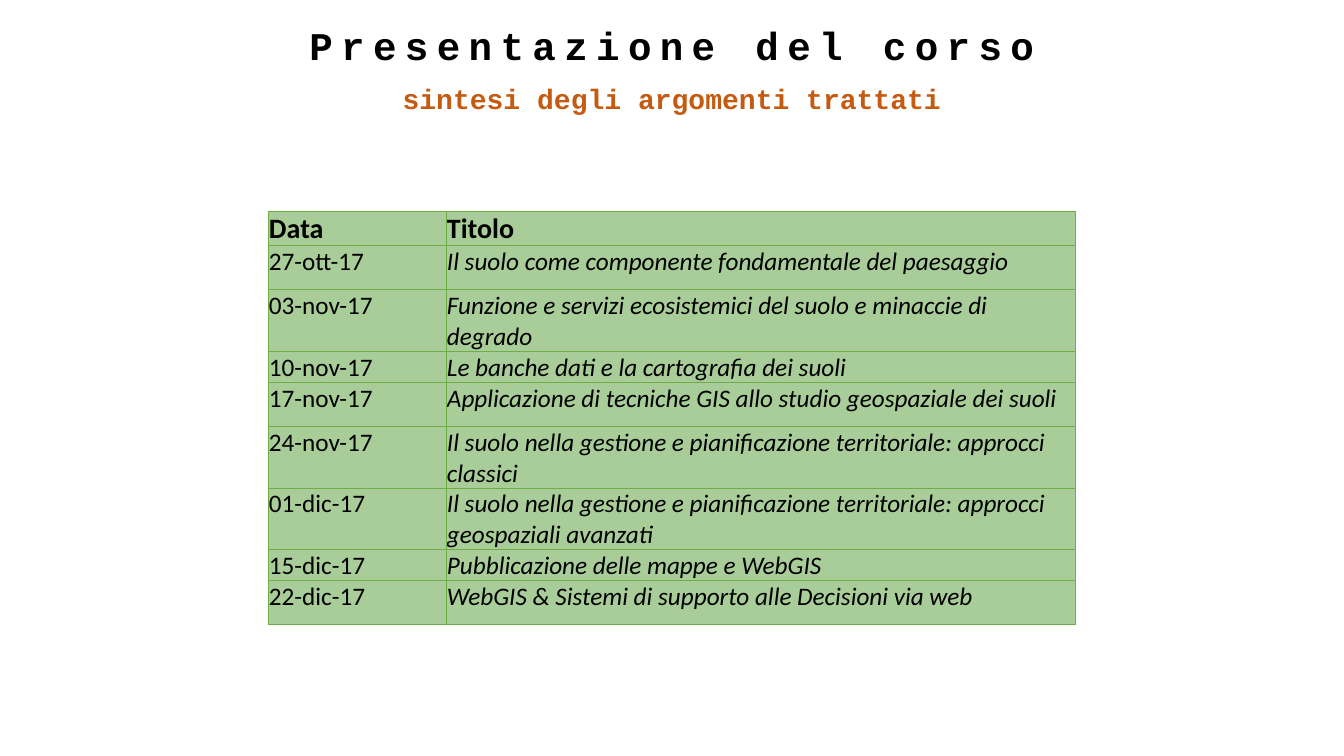
import pptx
import pptx.dml.color
import pptx.enum.text
import pptx.oxml
import pptx.oxml.ns
import pptx.util

COLORS = {
    "ink": "000000",
    "subtitle": "C55A11",
    "cell": "A9CD99",
    "border": "70AD47",
}
HEADING_FONT, TABLE_FONT = "Courier New", "Calibri"
SLIDE_WIDTH, SLIDE_HEIGHT = 1344, 756

LESSONS = [
    ("27-ott-17", "Il suolo come componente fondamentale del paesaggio"),
    ("03-nov-17", "Funzione e servizi ecosistemici del suolo e minaccie di degrado"),
    ("10-nov-17", "Le banche dati e la cartografia dei suoli"),
    ("17-nov-17", "Applicazione di tecniche GIS allo studio geospaziale dei suoli"),
    ("24-nov-17", "Il suolo nella gestione e pianificazione territoriale: approcci classici"),
    ("01-dic-17", "Il suolo nella gestione e pianificazione territoriale: approcci geospaziali avanzati"),
    ("15-dic-17", "Pubblicazione delle mappe e WebGIS"),
    ("22-dic-17", "WebGIS & Sistemi di supporto alle Decisioni via web"),
]
HEADER_HEIGHT = 26
LESSON_HEIGHTS = [44, 44, 22, 44, 44, 44, 22, 44]


def px(length):
    return pptx.util.Emu(round(length * 914400 / 100.8))


def rgb(name):
    return pptx.dml.color.RGBColor.from_string(COLORS[name])


class CourseSlide:
    def __init__(self, slide):
        self.slide = slide

    def add_run(self, paragraph, text, font, size, color="ink", bold=False, italic=False):
        run = paragraph.add_run()
        run.text = text
        run.font.name = font
        run.font.size = pptx.util.Pt(size)
        run.font.bold = bold
        run.font.italic = italic
        run.font.color.rgb = rgb(color)
        return run

    def heading(self, placeholder, text, top, height, size, color, spacing=0):
        placeholder.left, placeholder.top = px(0), px(top)
        placeholder.width, placeholder.height = px(SLIDE_WIDTH), px(height)
        frame = placeholder.text_frame
        frame.word_wrap = True
        frame.auto_size = pptx.enum.text.MSO_AUTO_SIZE.SHAPE_TO_FIT_TEXT
        frame.vertical_anchor = pptx.enum.text.MSO_ANCHOR.TOP
        paragraph = frame.paragraphs[0]
        paragraph.alignment = pptx.enum.text.PP_ALIGN.CENTER
        paragraph.space_before = pptx.util.Pt(0)
        run = self.add_run(paragraph, text, HEADING_FONT, size, color, bold=True)
        if spacing:
            run._r.get_or_add_rPr().set("spc", str(spacing * 100))

    def cell(self, cell, text, size, **emphasis):
        cell.margin_left = cell.margin_right = cell.margin_top = px(1)
        cell.margin_bottom = px(0)
        cell.vertical_anchor = pptx.enum.text.MSO_ANCHOR.TOP
        # Borders come before the fill in the cell properties
        properties = cell._tc.get_or_add_tcPr()
        for side in "LRTB":
            properties.append(pptx.oxml.parse_xml(
                f'<a:ln{side} {pptx.oxml.ns.nsdecls("a")} w="6350"><a:solidFill>'
                f'<a:srgbClr val="{COLORS["border"]}"/></a:solidFill></a:ln{side}>'))
        cell.fill.solid()
        cell.fill.fore_color.rgb = rgb("cell")
        self.add_run(cell.text_frame.paragraphs[0], text, TABLE_FONT, size, **emphasis)

    def schedule(self, left, top, widths, height):
        frame = self.slide.shapes.add_table(
            len(LESSONS) + 1, len(widths), px(left), px(top), px(sum(widths)), px(height))
        table = frame.table
        table.first_row = table.horz_banding = False
        for column, width in zip(table.columns, widths):
            column.width = px(width)
        for row, row_height in zip(table.rows, [HEADER_HEIGHT] + LESSON_HEIGHTS):
            row.height = px(row_height)
        for column, label in enumerate(("Data", "Titolo")):
            self.cell(table.cell(0, column), label, 20, bold=True)
        for row, (date, topic) in enumerate(LESSONS, start=1):
            self.cell(table.cell(row, 0), date, 18)
            self.cell(table.cell(row, 1), topic, 18, italic=True)
        frame.height = px(height)


def main():
    deck = pptx.Presentation()
    deck.slide_width, deck.slide_height = px(SLIDE_WIDTH), px(SLIDE_HEIGHT)
    slide = deck.slides.add_slide(deck.slide_layouts[0])
    course = CourseSlide(slide)

    # Course title and subtitle
    course.heading(slide.shapes.title, "Presentazione del corso", 16, 57, 28, "ink", spacing=6)
    course.heading(slide.placeholders[1], "sintesi degli argomenti trattati", 76, 44, 20, "subtitle")

    # Lesson schedule
    course.schedule(268, 211, (178, 629), 418)

    deck.save("out.pptx")


if __name__ == "__main__":
    main()
